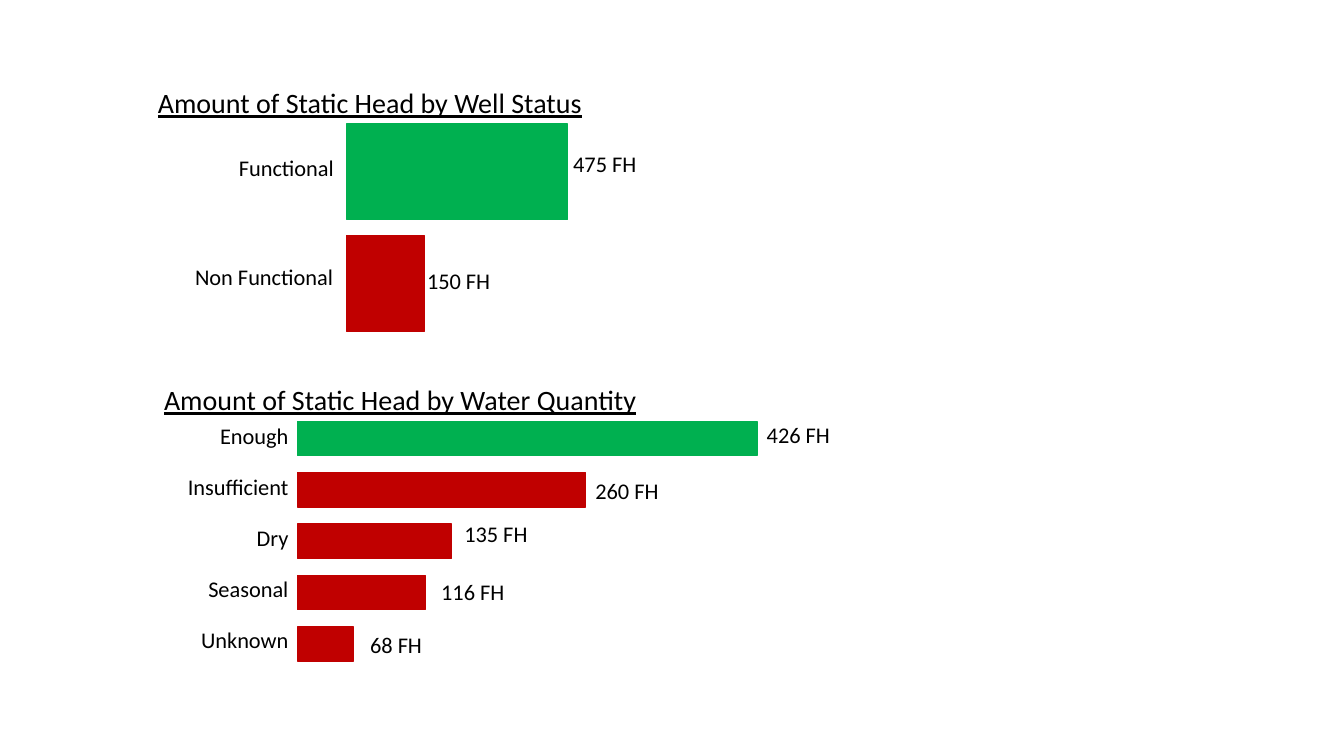
from pptx import Presentation
from pptx import util as u
from pptx.dml.color import RGBColor
from pptx.enum import shapes, text

GREEN = RGBColor(0x00, 0xB0, 0x50)
RED = RGBColor(0xC0, 0x00, 0x00)
BLACK = RGBColor(0x00, 0x00, 0x00)
LABEL_WIDTH = 188.6
CENTER = text.PP_ALIGN.CENTER
RIGHT = text.PP_ALIGN.RIGHT

# Each bar: category, bar width, label left, label top, value, value left, value top, value box width
STATUS_BARS = [
    ("Functional", 157.7, 110.2, 106.6, "475 FH", 337.7, 103.7, LABEL_WIDTH),
    ("Non Functional", 55.4, 94.3, 184.3, "150 FH", 233.3, 187.2, LABEL_WIDTH),
]
# The category labels of this chart sit on a regular pitch
QUANTITY_BARS = [
    (category, width, 24.5, 298.1 + 36.4 * row, value, left, top, value_width)
    for row, (category, width, value, left, top, value_width) in enumerate([
        ("Enough", 328.3, "426 FH", 506.9, 297.4, 126.7),
        ("Insufficient", 205.9, "260 FH", 353.5, 337, LABEL_WIDTH),
        ("Dry", 110.2, "135 FH", 259.9, 367.9, LABEL_WIDTH),
        ("Seasonal", 91.4, "116 FH", 243.4, 409.7, LABEL_WIDTH),
        ("Unknown", 40.3, "68 FH", 188.6, 447.1, LABEL_WIDTH),
    ])
]


class BarPage:
    font = "Calibri"
    title_size = 20
    label_size = 16

    def __init__(self, page):
        self.page = page
        self.group = None

    def start_group(self):
        self.group = self.page.shapes.add_group_shape()

    def label(self, words, left, top, width, align=CENTER):
        self.add_line_of_text(words, left, top, width, 26.6, self.label_size, align)

    def title(self, words, left, top, width):
        span = self.add_line_of_text(words, left, top, width, 31.5, self.title_size, CENTER)
        span.font.underline = True

    def add_line_of_text(self, words, left, top, width, height, size, align):
        """Add a one-line text box and return its run."""
        box = self.group.shapes.add_textbox(
            u.Pt(left), u.Pt(top), u.Pt(width), u.Pt(height))
        frame = box.text_frame
        frame.word_wrap = True
        frame.auto_size = text.MSO_AUTO_SIZE.SHAPE_TO_FIT_TEXT
        para = frame.paragraphs[0]
        para.alignment = align
        span = para.add_run()
        span.text = words
        span.font.name = self.font
        span.font.size = u.Pt(size)
        span.font.color.rgb = BLACK
        return span

    def bar(self, left, top, width, height, color):
        shape = self.group.shapes.add_shape(
            shapes.MSO_SHAPE.RECTANGLE,
            u.Pt(left), u.Pt(top), u.Pt(width), u.Pt(height))
        shape.shadow.inherit = False
        shape.fill.solid()
        shape.fill.fore_color.rgb = color
        shape.line.color.rgb = color
        shape.line.width = u.Pt(1)

    def bars(self, rows, left, top, pitch, height, align):
        """Draw labelled bars downwards; the first is green, the rest red."""
        for index, row in enumerate(rows):
            category, width, label_left, label_top, value, value_left, value_top, value_width = row
            self.bar(left, top + pitch * index, width, height, RED if index else GREEN)
            self.label(category, label_left, label_top, LABEL_WIDTH, align)
            self.label(value, value_left, value_top, value_width)


def main():
    deck = Presentation()
    deck.slide_width = u.Pt(960)
    deck.slide_height = u.Pt(540)
    sheet = BarPage(deck.slides.add_slide(deck.slide_layouts[6]))

    sheet.start_group()
    sheet.title("Amount of Static Head by Well Status", 61.9, 57.6, 404.6)
    sheet.bars(STATUS_BARS, 247.7, 88.6, 79.8, 68.4, CENTER)

    sheet.start_group()
    sheet.title("Amount of Static Head by Water Quantity", 75.6, 270, 420.5)
    sheet.bars(QUANTITY_BARS, 212.4, 301, 36.7, 24.5, RIGHT)

    deck.save("out.pptx")


if __name__ == "__main__":
    main()
